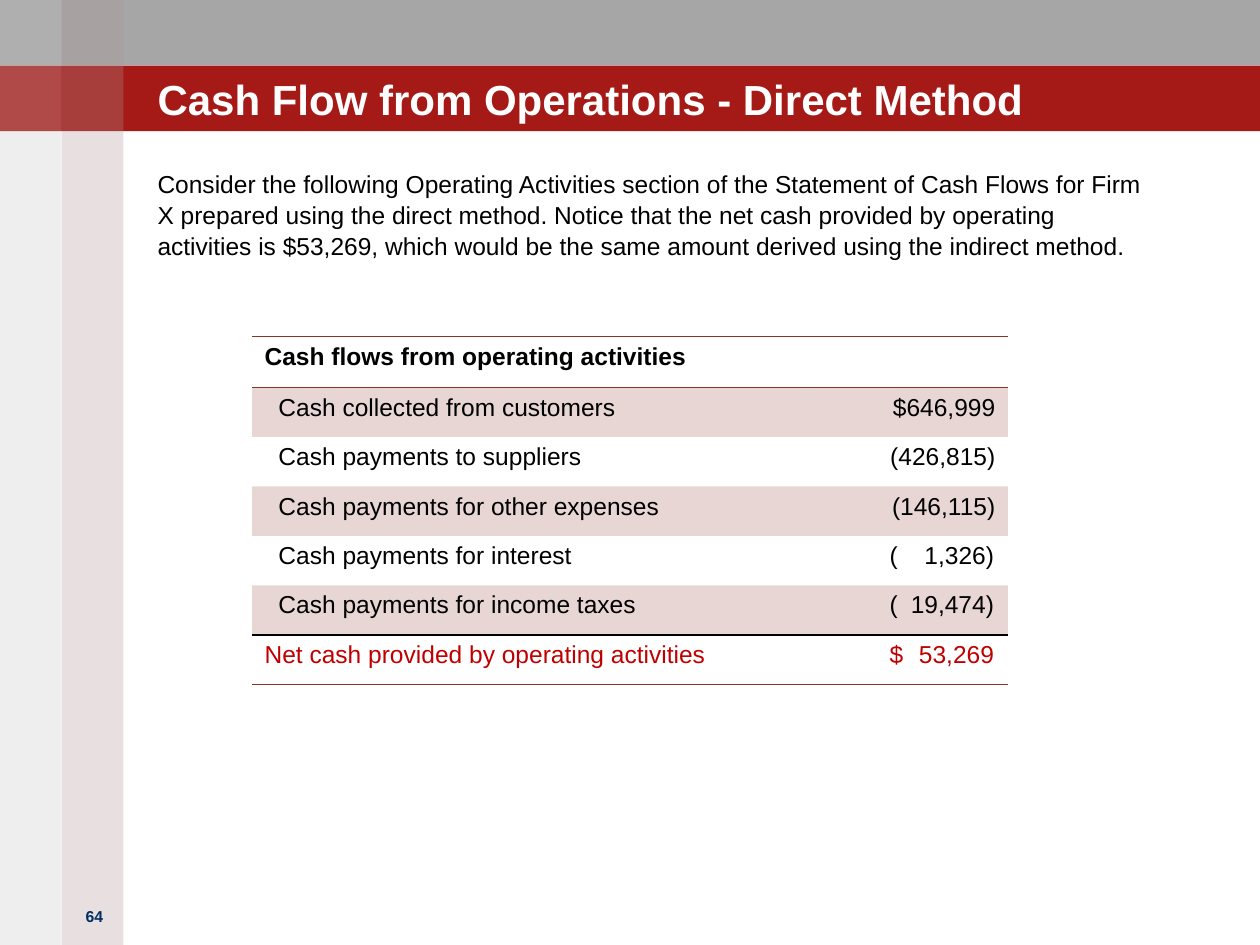
from lxml import etree
from pptx import Presentation
from pptx import util as u
from pptx.dml.color import RGBColor
from pptx.enum import shapes, text
from pptx.oxml.ns import qn

TITLE = "Cash Flow from Operations - Direct Method"
INTRO = ("Consider the following Operating Activities section of the Statement of Cash "
         "Flows for Firm X prepared using the direct method. Notice that the net cash "
         "provided by operating activities is $53,269, which would be the same amount "
         "derived using the indirect method.")
PAGE_NUMBER = "64"
# A tab separates the opening sign from right-aligned digits.
CASH_FLOWS = [
    ("Cash flows from operating activities", ""),
    ("Cash collected from customers", "$646,999"),
    ("Cash payments to suppliers", "(426,815)"),
    ("Cash payments for other expenses", "(146,115)"),
    ("Cash payments for interest", "(\t1,326)"),
    ("Cash payments for income taxes", "(\t19,474)"),
    ("Net cash provided by operating activities", "$\t53,269"),
]
COLORS = {"grey": "A6A6A6", "red": "A51A17", "rose": "A08284", "stone": "938F8F",
          "white": "FFFFFF", "black": "000000", "navy": "002E62",
          "brown": "873624", "total": "C00000"}
FONT = "Arial"
WIDTH, HEIGHT = 10, 7.5
BAR, STRIP = 0.52, 0.49
TEXT_LEFT = WIDTH / 8
TABLE_LEFT, TABLE_TOP = 2, 2.67
COLUMNS, ROW = (4.36, 1.64), 2.75 / 7
CELL_MARGIN, LABEL_INDENT, SIGN_INDENT = 0.1, 0.11, 0.6


def color(name):
    return RGBColor.from_string(COLORS[name])


def paint(fill, element, name, opacity=100):
    """Fill solidly; element is the XML that holds the fill."""
    fill.solid()
    fill.fore_color.rgb = color(name)
    if opacity < 100:
        tone = element.find(qn("a:solidFill")).find(qn("a:srgbClr"))
        etree.SubElement(tone, qn("a:alpha"), val=str(opacity * 1000))


def add_band(page, left, top, width, height, name, opacity=100):
    band = page.shapes.add_shape(shapes.MSO_SHAPE.RECTANGLE,
                                 *map(u.Inches, (left, top, width, height)))
    band.shadow.inherit = False
    band.line.fill.background()
    paint(band.fill, band._element.spPr, name, opacity)


def write(frame, words, size=14, tone="black", bold=False,
          align=text.PP_ALIGN.LEFT, anchor=text.MSO_ANCHOR.TOP, margin=None,
          tab=None, spacing=None):
    frame.word_wrap = True
    frame.auto_size = text.MSO_AUTO_SIZE.NONE
    frame.vertical_anchor = anchor
    if margin is not None:
        frame.margin_left = frame.margin_right = u.Inches(margin)
        frame.margin_top = frame.margin_bottom = u.Inches(margin)
    write_line(frame.paragraphs[0], words, size, tone, bold, align, tab, spacing)


def write_line(para, words, size=14, tone="black", bold=False,
               align=text.PP_ALIGN.LEFT, tab=None, spacing=None):
    para.alignment = align
    if spacing:
        para.line_spacing = spacing
    if tab:
        stops = etree.SubElement(para._p.get_or_add_pPr(), qn("a:tabLst"))
        etree.SubElement(stops, qn("a:tab"), pos=str(u.Inches(tab)), algn="r")
    span = para.add_run()
    span.text = words
    span.font.name, span.font.size, span.font.bold = FONT, u.Pt(size), bold
    span.font.color.rgb = color(tone)


def add_borders(cell, **sides):
    """Draw 1 pt borders; must run before the cell is filled."""
    props = cell._tc.get_or_add_tcPr()
    for side, name in sides.items():
        line = etree.SubElement(props, qn("a:ln" + side), w=str(u.Pt(1)))
        solid = etree.SubElement(line, qn("a:solidFill"))
        etree.SubElement(solid, qn("a:srgbClr"), val=COLORS[name])


def add_backdrop(page):
    add_band(page, 0, 0, WIDTH, BAR, "grey")
    add_band(page, 0, BAR, WIDTH, BAR, "red")
    add_band(page, STRIP, 0, STRIP, HEIGHT, "rose", 25)
    add_band(page, 0, 0, STRIP, HEIGHT, "stone", 15)
    for row in range(2):
        for column, opacity in enumerate((15, 5)):
            add_band(page, column * STRIP, row * BAR, STRIP, BAR, "white", opacity)


def add_cash_table(page):
    last = len(CASH_FLOWS) - 1
    frame = page.shapes.add_table(len(CASH_FLOWS), len(COLUMNS),
                                  u.Inches(TABLE_LEFT), u.Inches(TABLE_TOP),
                                  u.Inches(sum(COLUMNS)), u.Inches(ROW * len(CASH_FLOWS)))
    table = frame.table
    table.first_row = table.horz_banding = False
    # The "no style, no grid" table style
    style = table._tbl.tblPr.find(qn("a:tableStyleId"))
    style.text = "{2D5ABB26-0587-4C30-8999-92F81FD0307C}"
    for column, width in zip(table.columns, COLUMNS):
        column.width = u.Inches(width)
    borders = {0: {"T": "brown", "B": "brown"}, last - 1: {"B": "black"},
               last: {"T": "black", "B": "brown"}}

    for row, record in enumerate(CASH_FLOWS):
        table.rows[row].height = u.Inches(ROW)
        for column, words in enumerate(record):
            cell = table.cell(row, column)
            add_borders(cell, **borders.get(row, {}))
            if row % 2 and row < last:
                paint(cell.fill, cell._tc.tcPr, "brown", 20)
            else:
                cell.fill.background()
            indent, tab, align = 0, None, text.PP_ALIGN.LEFT
            if column == 0 and 0 < row < last:
                indent = LABEL_INDENT
            elif "\t" in words:
                indent = SIGN_INDENT
                tab = COLUMNS[1] - 2 * CELL_MARGIN - SIGN_INDENT - 0.01
            elif column == 1:
                align = text.PP_ALIGN.RIGHT
            cell.margin_left = u.Inches(CELL_MARGIN + indent)
            if words:
                write_line(cell.text_frame.paragraphs[0], words, bold=row == 0,
                           tone="total" if row == last else "black",
                           align=align, tab=tab)


def add_text(page, left, top, width, height, words, **style):
    box = page.shapes.add_textbox(*map(u.Inches, (left, top, width, height)))
    write(box.text_frame, words, **style)


def main():
    deck = Presentation()
    deck.slide_width, deck.slide_height = u.Inches(WIDTH), u.Inches(HEIGHT)
    page = deck.slides.add_slide(deck.slide_layouts[5])
    add_backdrop(page)
    add_text(page, 0.5, 7.15, 0.5, 0.5, PAGE_NUMBER, size=9, tone="navy", bold=True,
             align=text.PP_ALIGN.CENTER)

    title = page.shapes.title
    title.left, title.top = u.Inches(TEXT_LEFT), u.Inches(0.31)
    title.width, title.height = u.Inches(7.25), u.Inches(0.67)
    write(title.text_frame, TITLE, size=24, tone="white", bold=True, margin=0,
          anchor=text.MSO_ANCHOR.BOTTOM)
    page.shapes._spTree.append(title._element)  # in front of the bars

    add_text(page, TEXT_LEFT, 1.33, 7.92, 5.5, INTRO, margin=0, spacing=1.05)
    add_cash_table(page)
    deck.save("out.pptx")


if __name__ == "__main__":
    main()
